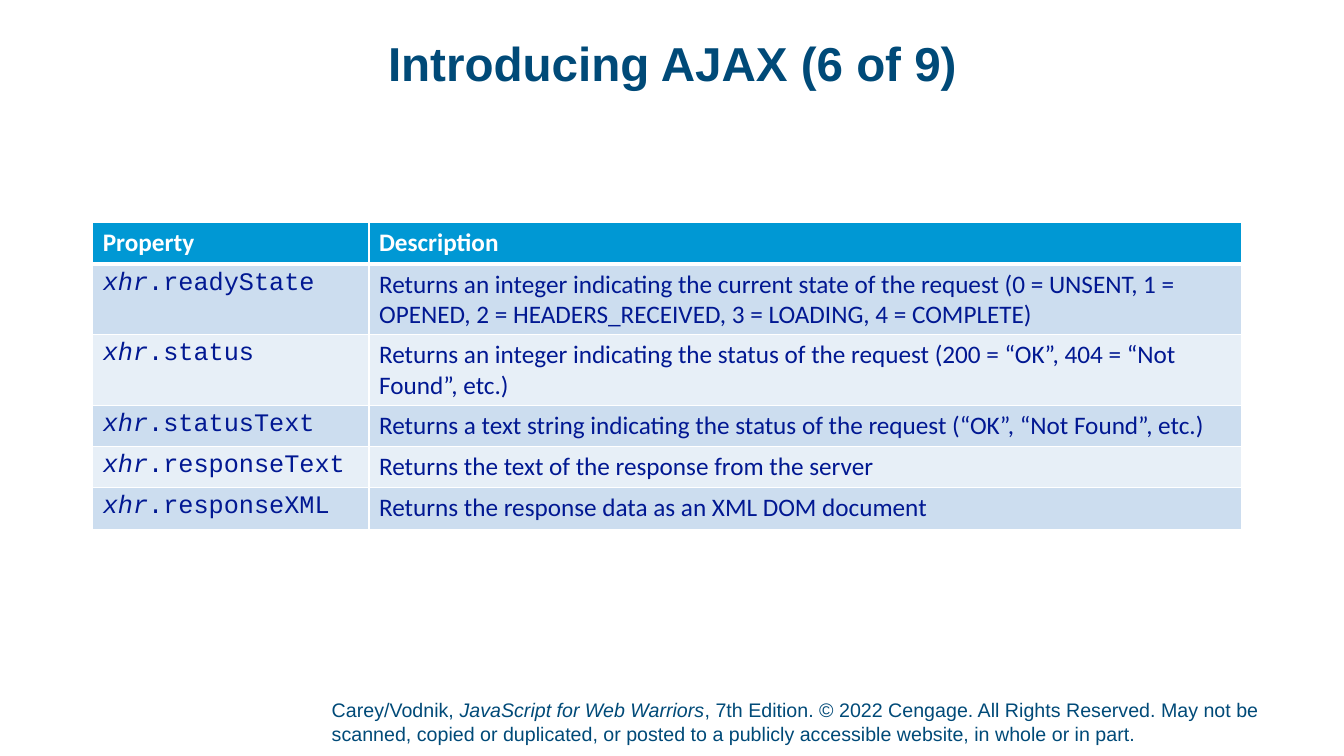
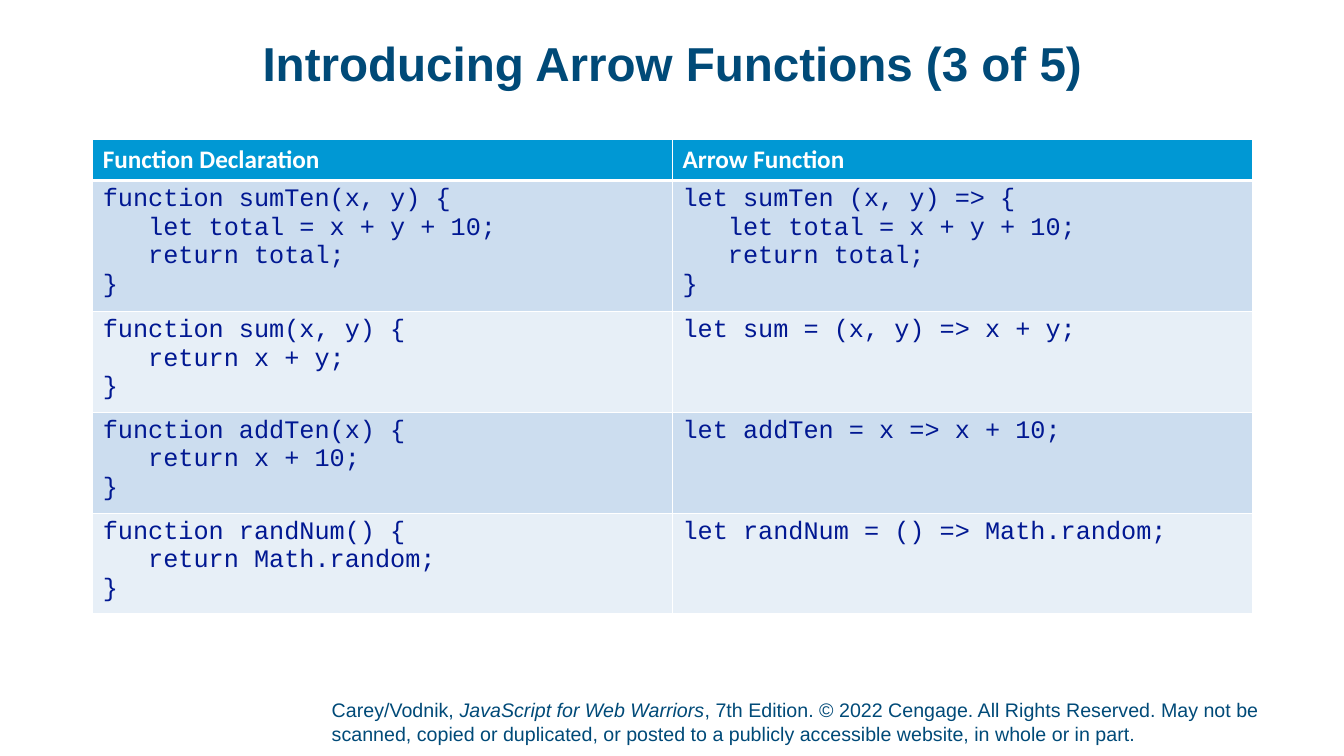
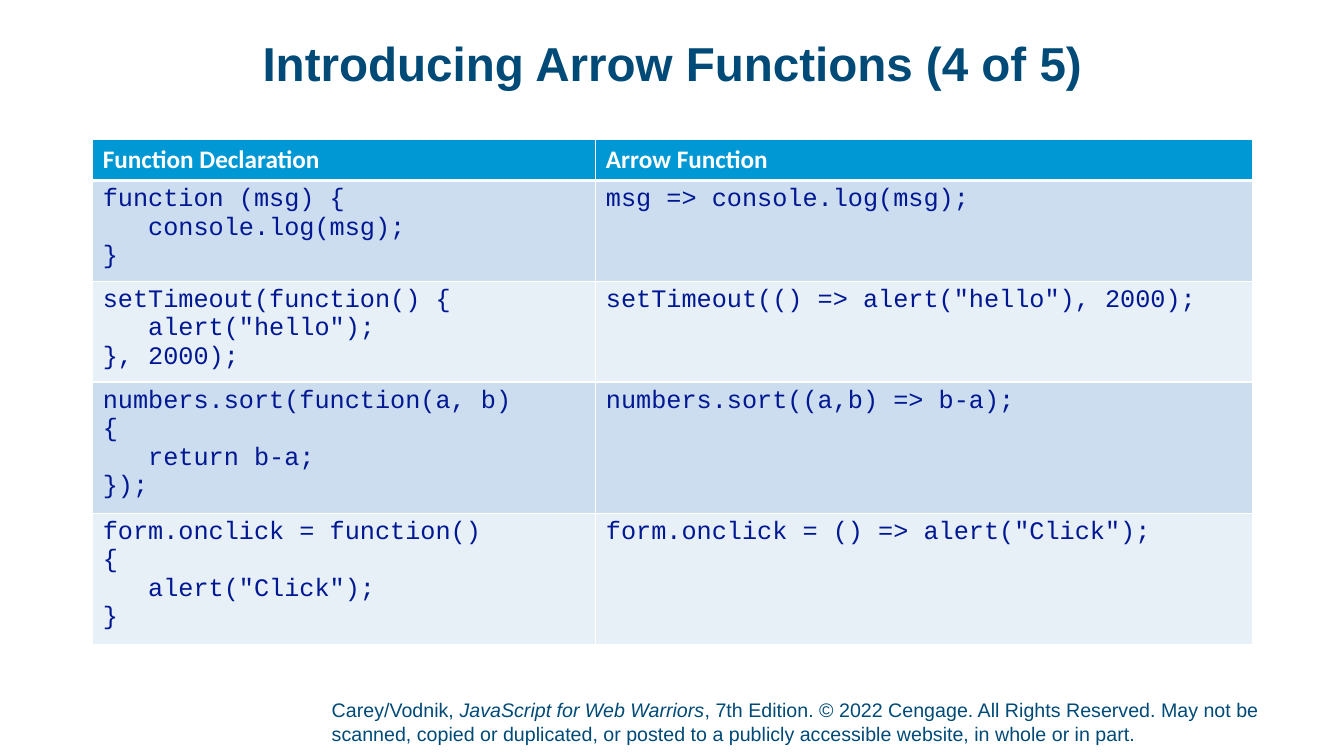
from lxml import etree
from pptx import Presentation
from pptx.dml.color import RGBColor
from pptx.enum.text import MSO_ANCHOR, MSO_AUTO_SIZE, PP_ALIGN
from pptx.oxml.ns import qn
from pptx.util import Inches, Pt

CENTER = PP_ALIGN.CENTER
TOP, BOTTOM = MSO_ANCHOR.TOP, MSO_ANCHOR.BOTTOM
FIT_SHAPE = MSO_AUTO_SIZE.SHAPE_TO_FIT_TEXT


class Theme:
    # Text styles: font, size, colour, bold
    TITLE = ("Arial", 34, "004A78", True)
    FOOTER = ("Arial", 14, "004A78", False)
    HEAD = ("Calibri", 18, "FFFFFF", True)
    PROSE = ("Calibri", 18, "011892", False)
    CODE = ("Courier New", 18, "011892", False)
    HEAD_FILL = "0098D4"
    BAND_FILLS = ("CCDDEF", "E7EFF7")
    BORDER = "FFFFFF"
    THIN, THICK = 1, 3
    LEFT = 0.92
    ROW_HEIGHT = 0.41


# Content: text between asterisks is italic, each line is a paragraph
FOOTER = (
    "Carey/Vodnik, *JavaScript for Web Warriors*, 7th Edition. © 2022 Cengage. "
    "All Rights Reserved. May not be scanned, copied or duplicated, or posted "
    "to a publicly accessible website, in whole or in part."
)

SLIDES = [
    {
        "title": "Introducing AJAX (6 of 9)",
        "top": 2.21,
        "widths": (2.74, 8.65),
        "styles": (Theme.CODE, Theme.PROSE),
        "head": ("Property", "Description"),
        "rows": [
            ("*xhr*.readyState",
             "Returns an integer indicating the current state of the request "
             "(0 = UNSENT, 1 = OPENED, 2 = HEADERS_RECEIVED, 3 = LOADING, 4 = COMPLETE)"),
            ("*xhr*.status",
             "Returns an integer indicating the status of the request "
             "(200 = “OK”, 404 = “Not Found”, etc.)"),
            ("*xhr*.statusText",
             "Returns a text string indicating the status of the request "
             "(“OK”, “Not Found”, etc.)"),
            ("*xhr*.responseText", "Returns the text of the response from the server"),
            ("*xhr*.responseXML", "Returns the response data as an XML DOM document"),
        ],
    },
    {
        "title": "Introducing Arrow Functions (3 of 5)",
        "top": 1.38,
        "widths": (5.75, 5.75),
        "styles": (Theme.CODE, Theme.CODE),
        "head": ("Function Declaration", "Arrow Function"),
        "rows": [
            ("function sumTen(x, y) {\n   let total = x + y + 10;\n   return total;\n}",
             "let sumTen (x, y) => {\n   let total = x + y + 10;\n   return total;\n}"),
            ("function sum(x, y) {\n   return x + y;\n}", "let sum = (x, y) => x + y;"),
            ("function addTen(x) {\n   return x + 10;\n}", "let addTen = x => x + 10;"),
            ("function randNum() {\n   return Math.random;\n}",
             "let randNum = () => Math.random;"),
        ],
    },
    {
        "title": "Introducing Arrow Functions (4 of 5)",
        "top": 1.38,
        "widths": (4.99, 6.51),
        "styles": (Theme.CODE, Theme.CODE),
        "head": ("Function Declaration", "Arrow Function"),
        "rows": [
            ("function (msg) {\n   console.log(msg);\n}", "msg => console.log(msg);"),
            ('setTimeout(function() {\n   alert("hello");\n}, 2000);',
             'setTimeout(() => alert("hello"), 2000);'),
            ("numbers.sort(function(a, b)\n{\n   return b-a;\n});",
             "numbers.sort((a,b) => b-a);"),
            ('form.onclick = function()\n{\n   alert("Click");\n}',
             'form.onclick = () => alert("Click");'),
        ],
    },
]


# Text
def write(tf, text, style):
    name, size, color, bold = style
    for i, line in enumerate(text.split("\n")):
        p = tf.add_paragraph() if i else tf.paragraphs[0]
        for j, part in enumerate(line.split("*")):
            if not part:
                continue
            r = p.add_run()
            r.text = part
            r.font.name, r.font.size = name, Pt(size)
            r.font.bold, r.font.italic = bold, j % 2 == 1
            r.font.color.rgb = RGBColor.from_string(color)


def add_text(s, box, text, style, anchor=TOP, bottom=0):
    tf = s.shapes.add_textbox(*map(Inches, box)).text_frame
    tf.word_wrap = True
    tf.vertical_anchor = anchor
    tf.margin_left = tf.margin_right = tf.margin_top = 0
    tf.margin_bottom = Inches(bottom)
    write(tf, text, style)
    return tf


# Table
def set_borders(cell, top, bottom):
    tc_pr = cell._tc.get_or_add_tcPr()
    for side, width in (("L", Theme.THIN), ("R", Theme.THIN), ("T", top), ("B", bottom)):
        ln = etree.SubElement(tc_pr, qn(f"a:ln{side}"), w=str(Pt(width)))
        fill = etree.SubElement(ln, qn("a:solidFill"))
        etree.SubElement(fill, qn("a:srgbClr"), val=Theme.BORDER)


def add_table(s, data):
    rows = [data["head"], *data["rows"]]
    widths = data["widths"]
    table = s.shapes.add_table(
        len(rows), len(widths), Inches(Theme.LEFT), Inches(data["top"]),
        Inches(sum(widths)), Inches(Theme.ROW_HEIGHT * len(rows))).table
    for column, width in zip(table.columns, widths):
        column.width = Inches(width)
    for i, texts in enumerate(rows):
        table.rows[i].height = Inches(Theme.ROW_HEIGHT)
        color = Theme.BAND_FILLS[(i - 1) % 2] if i else Theme.HEAD_FILL
        for j, text in enumerate(texts):
            cell = table.cell(i, j)
            set_borders(cell, Theme.THICK if i == 1 else Theme.THIN,
                        Theme.THICK if i == 0 else Theme.THIN)
            cell.fill.solid()
            cell.fill.fore_color.rgb = RGBColor.from_string(color)
            write(cell.text_frame, text, data["styles"][j] if i else Theme.HEAD)


# Slides
def add_slide(prs, data):
    s = prs.slides.add_slide(prs.slide_layouts[6])
    footer = add_text(s, (3.29, 6.92, 9.79, 0.52), FOOTER, Theme.FOOTER, BOTTOM, 0.05)
    footer.auto_size = FIT_SHAPE
    title = add_text(s, (Theme.LEFT, 0.4, 11.5, 0.74), data["title"], Theme.TITLE)
    title.paragraphs[0].alignment = CENTER
    title.paragraphs[0].line_spacing = 0.9
    add_table(s, data)


def main():
    prs = Presentation()
    prs.slide_width, prs.slide_height = Inches(13.33), Inches(7.5)
    for data in SLIDES:
        add_slide(prs, data)
    prs.save("out.pptx")


if __name__ == "__main__":
    main()
